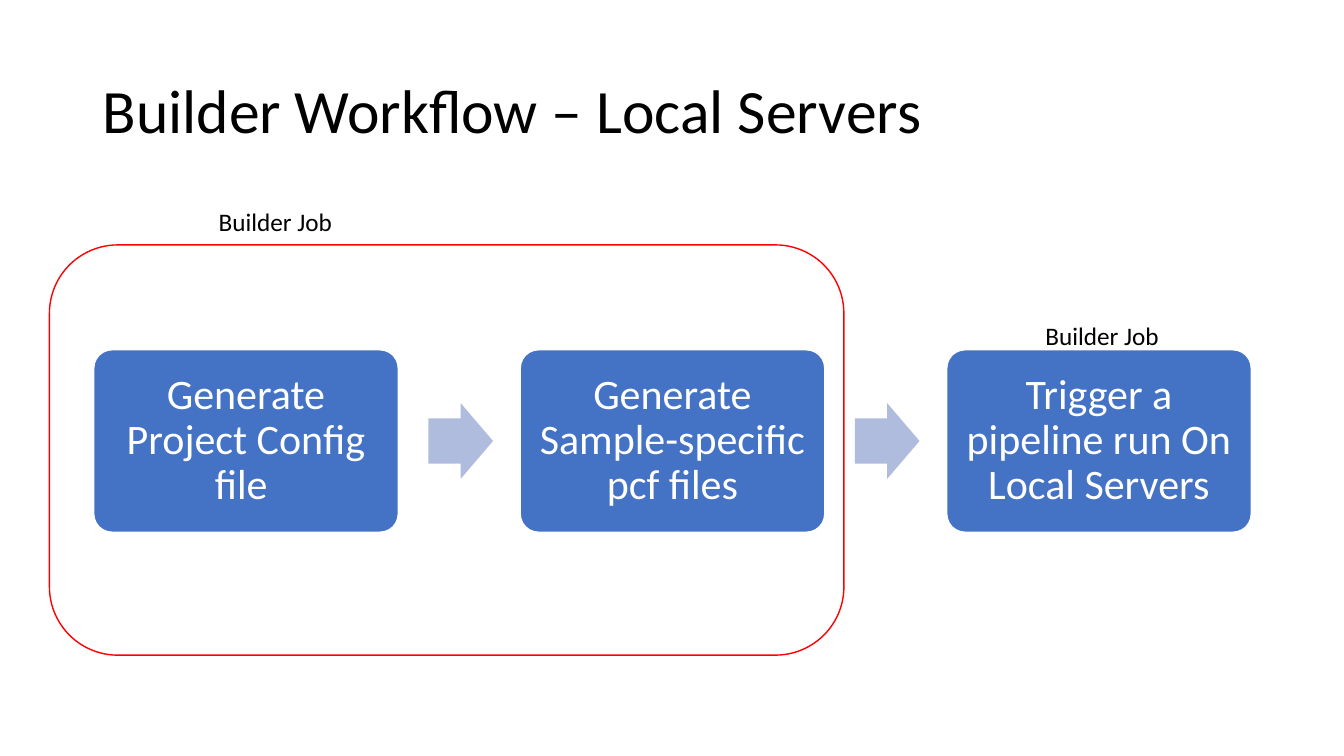
from pptx import Presentation
from pptx.dml.color import RGBColor
from pptx.enum.shapes import MSO_SHAPE
from pptx.enum.text import MSO_ANCHOR, MSO_AUTO_SIZE, PP_ALIGN
from pptx.util import Inches, Pt

ROUNDED = MSO_SHAPE.ROUNDED_RECTANGLE
RIGHT_ARROW = MSO_SHAPE.RIGHT_ARROW
MIDDLE = MSO_ANCHOR.MIDDLE
LEFT, CENTER = PP_ALIGN.LEFT, PP_ALIGN.CENTER
FIT_SHAPE = MSO_AUTO_SIZE.SHAPE_TO_FIT_TEXT

FONT = "Calibri"
COLORS = {
    "text": "000000",
    "step": "4472C4",
    "step_text": "FFFFFF",
    "arrow": "B0BCDE",
    "job": "FF0000",
}
STEPS = [
    "Generate Project Config file ",
    "Generate Sample-specific pcf files",
    "Trigger a pipeline run On Local Servers",
]
STEP_WIDTH = 3.02
STEP_PITCH = 4.23
STEP_MARGIN = 0.11
ARROW_WIDTH, ARROW_HEIGHT = 0.64, 0.75
ARROW_OFFSET = 3.32


def rgb(name):
    return RGBColor.from_string(COLORS[name])


def write(frame, text, size, color, align=LEFT, line_spacing=None):
    paragraph = frame.paragraphs[0]
    paragraph.alignment = align
    paragraph.line_spacing = line_spacing
    run = paragraph.add_run()
    run.text = text
    run.font.name = FONT
    run.font.size = Pt(size)
    run.font.color.rgb = rgb(color)


def add_block(slide, preset, box, adjustments, fill=None, line=None):
    block = slide.shapes.add_shape(preset, *map(Inches, box))
    block.shadow.inherit = False
    for index, value in enumerate(adjustments):
        block.adjustments[index] = value
    if fill:
        block.fill.solid()
        block.fill.fore_color.rgb = rgb(fill)
    else:
        block.fill.background()
    if line:
        block.line.color.rgb = rgb(line)
        block.line.width = Pt(1)
    else:
        block.line.fill.background()
    return block


def add_title(slide, box, text):
    frame = slide.shapes.add_textbox(*map(Inches, box)).text_frame
    frame.word_wrap = True
    frame.vertical_anchor = MIDDLE
    write(frame, text, 44, "text", line_spacing=0.9)


def add_job_label(slide, box):
    frame = slide.shapes.add_textbox(*map(Inches, box)).text_frame
    frame.word_wrap = False
    frame.auto_size = FIT_SHAPE
    write(frame, "Builder Job", 18, "text")


def add_step(slide, box, text):
    step = add_block(slide, ROUNDED, box, [0.1], "step", "step_text")
    frame = step.text_frame
    frame.word_wrap = True
    frame.vertical_anchor = MIDDLE
    frame.margin_left = frame.margin_right = Inches(STEP_MARGIN)
    frame.margin_top = frame.margin_bottom = Inches(STEP_MARGIN)
    write(frame, text, 30, "step_text", CENTER, 0.9)


def add_workflow(slide, box):
    """Place the steps at an equal pitch, with an arrow in each gap."""
    left, top, _, height = box
    arrow_top = top + (height - ARROW_HEIGHT) / 2
    for index, text in enumerate(STEPS):
        step_left = left + index * STEP_PITCH
        add_step(slide, (step_left, top, STEP_WIDTH, height), text)
        if index < len(STEPS) - 1:
            arrow_box = (step_left + ARROW_OFFSET, arrow_top, ARROW_WIDTH, ARROW_HEIGHT)
            add_block(slide, RIGHT_ARROW, arrow_box, [0.6, 0.5], "arrow")


def add_job_frame(slide, box):
    add_block(slide, ROUNDED, box, [0.1667], line="job")


def main():
    deck = Presentation()
    deck.slide_width, deck.slide_height = Inches(13.33), Inches(7.5)
    slide = deck.slides.add_slide(deck.slide_layouts[6])
    add_title(slide, (0.92, 0.4, 11.5, 1.45), "Builder Workflow – Local Servers")
    add_workflow(slide, (0.93, 3.47, 11.48, 1.81))
    add_job_frame(slide, (0.49, 2.43, 7.88, 4.07))
    add_job_label(slide, (2.07, 2, 1.35, 0.4))
    add_job_label(slide, (10.27, 3.13, 1.35, 0.4))
    deck.save("out.pptx")


if __name__ == "__main__":
    main()
